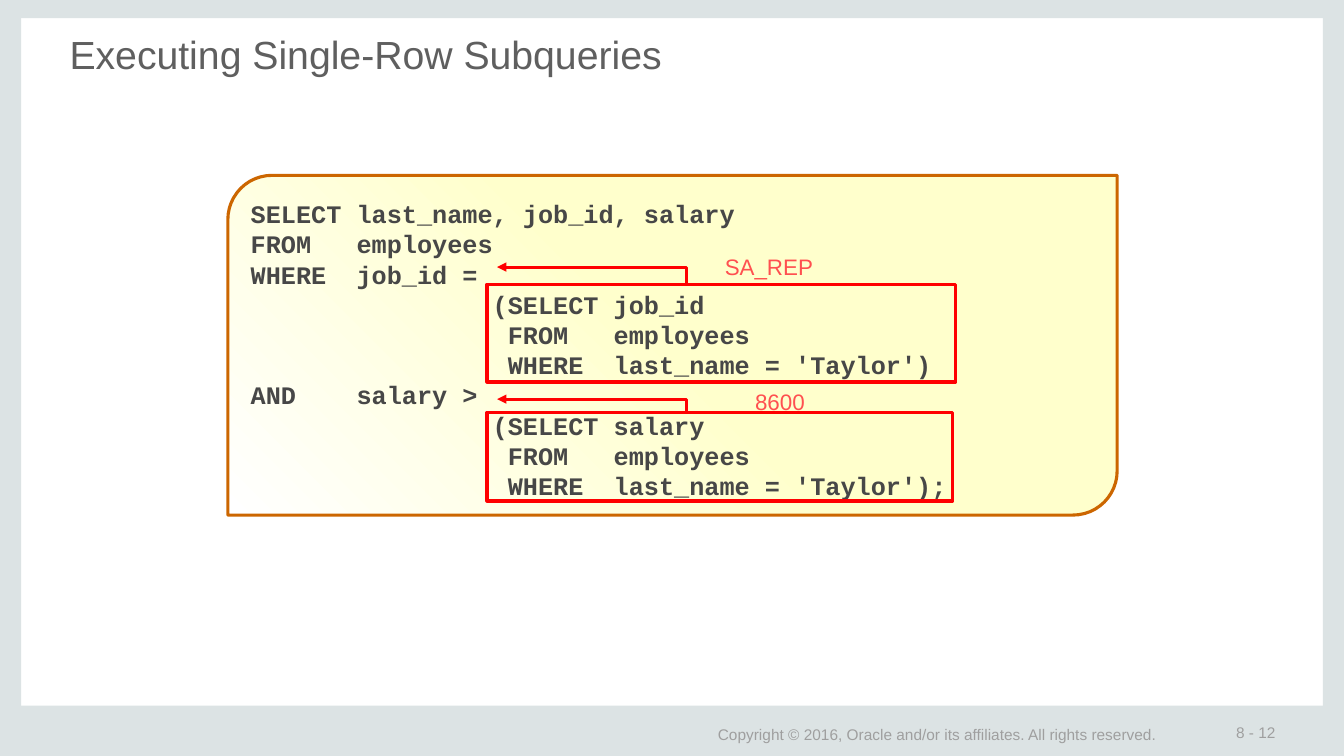
from copy import deepcopy
from dataclasses import dataclass

from lxml import etree
from pptx import Presentation
from pptx.dml.color import RGBColor
from pptx.enum.shapes import MSO_SHAPE
from pptx.enum.text import MSO_ANCHOR, MSO_AUTO_SIZE, PP_ALIGN
from pptx.oxml.ns import qn
from pptx.util import Inches, Pt

RECTANGLE = MSO_SHAPE.RECTANGLE
CODE_PANEL = MSO_SHAPE.ROUND_2_DIAG_RECTANGLE
TOP, MIDDLE = MSO_ANCHOR.TOP, MSO_ANCHOR.MIDDLE
LEFT, JUSTIFY = PP_ALIGN.LEFT, PP_ALIGN.JUSTIFY
NO_AUTOFIT = MSO_AUTO_SIZE.NONE


@dataclass(frozen=True)
class Theme:
    frame: str = "DCE3E4"
    panel: str = "FFFFCC"
    panel_fade: str = "FFFFFF"
    panel_edge: str = "CC6600"
    marker: str = "FF0000"
    line_width: float = 2.25
    title = {"name": "Arial", "size": 28, "color": "5F5F5F", "bold": False}
    code = {"name": "Courier New", "size": 18, "color": "474747", "bold": True}
    result = {"name": "Arial", "size": 16, "color": "FF5050", "bold": False}
    footer = {"name": "Arial", "size": 11, "color": "9F9F9F", "bold": False}


THEME = Theme()
SLIDE_WIDTH, SLIDE_HEIGHT = 13.33, 7.5
QUERY = """SELECT last_name, job_id, salary
FROM   employees
WHERE  job_id =
                (SELECT job_id
                 FROM   employees
                 WHERE  last_name = 'Taylor')
AND    salary >
                (SELECT salary
                 FROM   employees
                 WHERE  last_name = 'Taylor');"""


def inches(*lengths):
    return [Inches(length) for length in lengths]


def write(shape, text, style, margins, anchor=TOP, align=LEFT, wrap=True, spacing=None):
    frame = shape.text_frame
    sides = ("margin_left", "margin_top", "margin_right", "margin_bottom")
    settings = {"word_wrap": wrap, "auto_size": NO_AUTOFIT, "vertical_anchor": anchor}
    settings.update(zip(sides, inches(*margins)))
    for name, value in settings.items():
        setattr(frame, name, value)
    frame.text = text
    for para in frame.paragraphs:
        para.alignment = align
        para.line_spacing = spacing
        para.space_before = Pt(0)
        for span in para.runs:
            font_format = {"name": style["name"], "size": Pt(style["size"]), "bold": style["bold"]}
            for name, value in font_format.items():
                setattr(span.font, name, value)
            span.font.color.rgb = RGBColor.from_string(style["color"])


def outline(shape, color):
    shape.shadow.inherit = False
    shape.line.color.rgb = RGBColor.from_string(color)
    shape.line.width = Pt(THEME.line_width)


def add_frame(page):
    side, top, bottom = 0.21, 0.18, 0.5
    strips = (
        (0, 0, SLIDE_WIDTH, top),
        (0, SLIDE_HEIGHT - bottom, SLIDE_WIDTH, bottom),
        (0, 0, side, SLIDE_HEIGHT),
        (SLIDE_WIDTH - side, 0, side, SLIDE_HEIGHT),
    )
    for strip in strips:
        shape = page.shapes.add_shape(RECTANGLE, *inches(*strip))
        shape.shadow.inherit = False
        shape.fill.solid()
        shape.fill.fore_color.rgb = RGBColor.from_string(THEME.frame)
        shape.line.fill.background()


def add_footer(page, left, top, copyright_line, number):
    margins = (0.13, 0.07, 0.13, 0.07)
    items = ((0, 5.34, 0.22, copyright_line, LEFT), (5.14, 1.18, 0.2, number, JUSTIFY))
    for offset, width, height, text, align in items:
        box = page.shapes.add_textbox(*inches(left + offset, top, width, height))
        write(box, text, THEME.footer, margins, MIDDLE, align, wrap=False)


def add_title(page, box, text):
    title = page.shapes.title
    for name, value in zip(("left", "top", "width", "height"), inches(*box)):
        setattr(title, name, value)
    write(title, text, THEME.title, (0.01, 0.01, 0.01, 0.01))


def add_code_panel(page, box, code):
    panel = page.shapes.add_shape(CODE_PANEL, *inches(*box))
    panel.adjustments[0] = 0.13
    panel.adjustments[1] = 0
    outline(panel, THEME.panel_edge)
    panel.fill.gradient()
    panel.fill.gradient_angle = 225
    stop_list = panel.fill._fill._gradFill.find(qn("a:gsLst"))
    stop_list.insert(1, deepcopy(stop_list[0]))
    stops = ((0, THEME.panel), (0.5, THEME.panel), (1, THEME.panel_fade))
    for stop, (position, color) in zip(panel.fill.gradient_stops, stops):
        stop.position = position
        stop.color.rgb = RGBColor.from_string(color)
    write(panel, code, THEME.code, (0.1, 0.1, 0.01, 0))


def add_subquery_marker(page, box, rise, result, label_offset, label_size):
    left, top, width, height = box
    border = page.shapes.add_shape(RECTANGLE, *inches(*box))
    border.fill.background()
    outline(border, THEME.marker)

    elbow, tip = left + 1.98, left + 0.1
    builder = page.shapes.build_freeform(*inches(elbow, top))
    corners = ((elbow, top - rise), (tip, top - rise))
    builder.add_line_segments([inches(*corner) for corner in corners], close=False)
    arrow = builder.convert_to_shape()
    arrow.fill.background()
    outline(arrow, THEME.marker)
    etree.SubElement(arrow.line._get_or_add_ln(), qn("a:tailEnd"), type="triangle")

    label_left, label_top = left + label_offset[0], top + label_offset[1]
    label = page.shapes.add_textbox(*inches(label_left, label_top, *label_size))
    write(label, result, THEME.result, (0.1, 0.05, 0.1, 0.05), wrap=False, spacing=1.2)


def add_query_slide(deck):
    page = deck.slides.add_slide(deck.slide_layouts[5])
    add_frame(page)
    add_footer(
        page, 6.99, 7.17,
        "Copyright © 2016, Oracle and/or its affiliates. All rights reserved.", "8 - 12",
    )
    add_title(page, (0.68, 0.29, 11.97, 0.96), "Executing Single-Row Subqueries")
    add_code_panel(page, (2.26, 1.74, 8.82, 3.37), QUERY)
    add_subquery_marker(
        page, (4.83, 2.82, 4.65, 0.97), 0.17, "SA_REP", (2.26, -0.41), (1.09, 0.42)
    )
    add_subquery_marker(
        page, (4.83, 4.09, 4.62, 0.88), 0.13, "8600", (2.56, -0.34), (0.7, 0.42)
    )


def main():
    deck = Presentation()
    deck.slide_width, deck.slide_height = inches(SLIDE_WIDTH, SLIDE_HEIGHT)
    add_query_slide(deck)
    deck.save("out.pptx")


if __name__ == "__main__":
    main()
